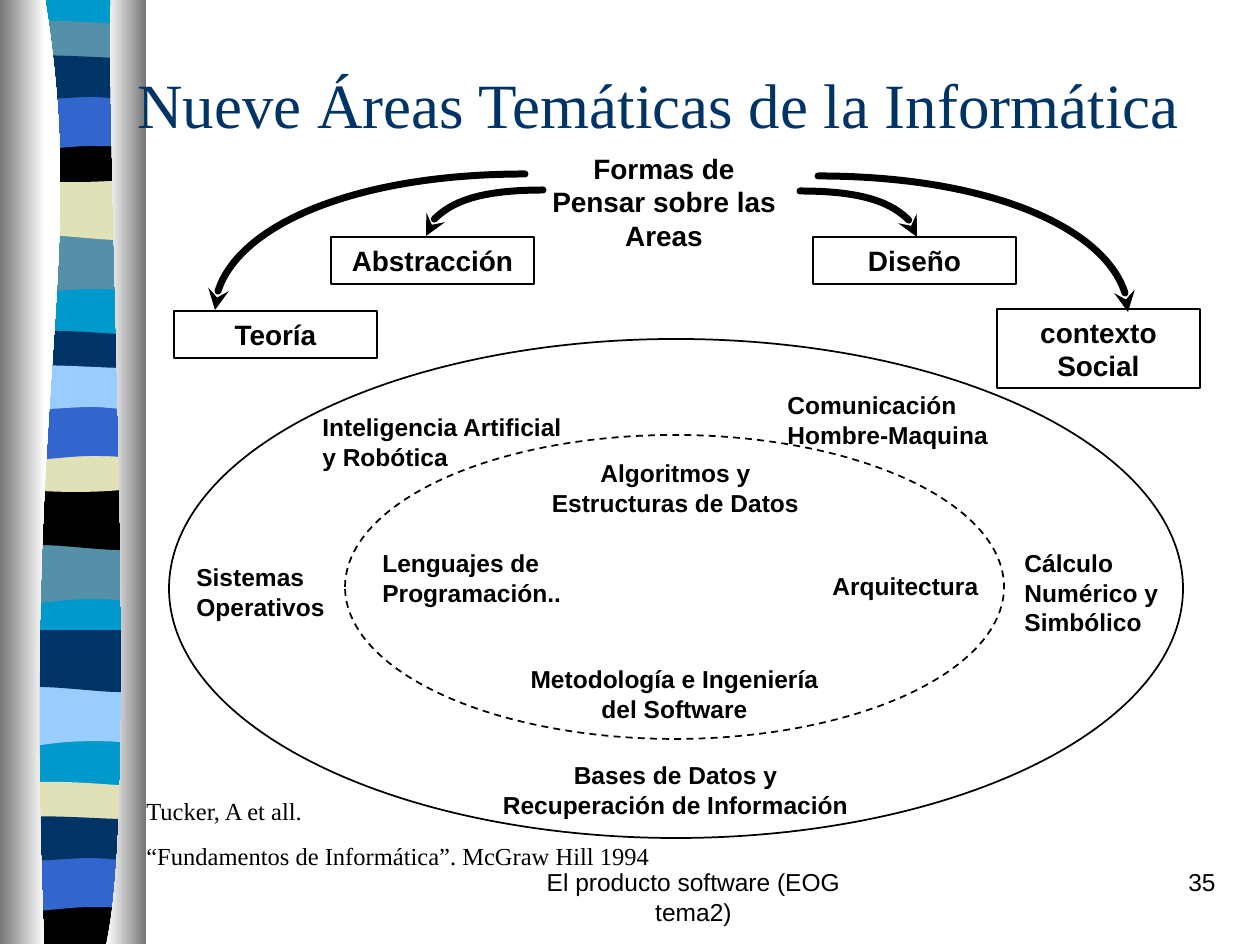
import dataclasses

import lxml.etree
import pptx
import pptx.dml.color
import pptx.enum.dml
import pptx.enum.shapes
import pptx.enum.text
import pptx.oxml.ns
import pptx.util

PX = 914400 / 126
LEFT, CENTER, RIGHT = (pptx.enum.text.PP_ALIGN.LEFT, pptx.enum.text.PP_ALIGN.CENTER,
                       pptx.enum.text.PP_ALIGN.RIGHT)


@dataclasses.dataclass(frozen=True)
class Theme:
    sans: str = "Arial"
    serif: str = "Times New Roman"
    ink: str = "000000"
    navy: str = "003366"
    blue: str = "3366CC"
    cyan: str = "0099CC"
    teal: str = "5490A8"
    sky: str = "99CCFF"
    sand: str = "E1E1B7"
    white: str = "FFFFFF"
    grey: str = "767676"
    title: int = 36
    form: int = 16
    body: int = 14
    thin: int = 1
    thick: int = 4


T = Theme()

# Content: (text, (left, top, width, height), alignment)
TITLE = ("Nueve Áreas Temáticas de la Informática", (125, 24, 1135, 158), LEFT)
HEADING = ("Formas de Pensar sobre las Areas", (534, 145, 260, 113), CENTER)
FORMS = [
    ("Abstracción", (331, 237, 203, 47), CENTER),
    ("Teoría", (174, 311, 203, 47), CENTER),
    ("Diseño", (813, 237, 203, 47), CENTER),
    ("contexto Social", (997, 309, 203, 79), CENTER),
]
AREAS = [
    ("Algoritmos y Estructuras de Datos", (538, 452, 275, 72), CENTER),
    ("Lenguajes de Programación..", (370, 542, 217, 72), LEFT),
    ("Metodología e Ingeniería del Software", (515, 658, 319, 72), CENTER),
    ("Arquitectura", (820, 565, 192, 42), LEFT),
    ("Comunicación Hombre-Maquina", (775, 384, 254, 72), LEFT),
    ("Inteligencia Artificial y Robótica", (310, 406, 280, 72), LEFT),
    ("Sistemas Operativos", (184, 556, 176, 72), LEFT),
    ("Cálculo Numérico y Simbólico", (1012, 542, 170, 101), LEFT),
    ("Bases de Datos y Recuperación de Información", (489, 754, 373, 72), CENTER),
]
FOOTERS = [
    ("El producto software (EOG tema2)", (494, 861, 399, 63), CENTER),
    ("35", (966, 861, 262, 63), RIGHT),
]
SOURCE = ("Tucker, A et all.\n“Fundamentos de Informática”. McGraw Hill 1994",
          (134, 790, 539, 87), LEFT)
ELLIPSES = [((345, 435, 659, 304), True), ((169, 339, 1014, 499), False)]

# Quarter arcs: (start at the heading, arrow tip)
ARROWS = [((525, 174), (215, 310)), ((543, 190), (426, 236)),
          ((818, 176), (1128, 312)), ((800, 191), (917, 237))]

# Ribbon outlines: a pair is a straight step, six numbers are a Bezier step
PROFILES = {
    "wave": [(144, 233), (144, 292), (49, 282, 30, 302, 8, 292), (8, 233)],
    "swell": [(144, 178), (144, 237), (121, 247, 49, 229, 8, 237), (8, 178)],
    "slim": [(144, 26), (144, 57), (121, 62, 30, 62, 8, 57), (8, 26),
             (15, 20, 37, 21, 59, 21), (82, 21, 126, 25, 144, 26)],
    "block": [(144, 136), (144, 176), (121, 184, 30, 184, 8, 176), (8, 136),
              (91, 142, 115, 136, 144, 136)],
    "arch": [(144, 93), (144, 152), (122, 146, 113, 146, 91, 146),
             (68, 146, 28, 152, 8, 152), (8, 93)],
    "step": [(144, 58), (144, 97), (135, 103, 113, 97, 91, 97),
             (68, 97, 21, 103, 8, 97), (8, 58), (26, 52, 100, 58, 122, 58), (144, 58)],
    "foot": [(144, 136), (144, 183), (8, 183), (8, 136), (91, 142, 115, 136, 144, 136)],
}
# Each run of bands repeats the outlines further down: (offset, bands)
RIBBON = [
    (0, [("wave", T.teal), ("swell", T.sand), ("slim", T.teal), ("block", T.ink),
         ("arch", T.blue), ("step", T.navy)]),
    (310, [("wave", T.teal), ("swell", T.ink), ("slim", T.navy), ("block", T.sand),
           ("arch", T.blue), ("step", T.sky)]),
    (452, [("wave", T.sky), ("swell", T.navy)]),
    (761, [("slim", T.sand), ("foot", T.ink), ("arch", T.blue), ("step", T.navy)]),
]
BASE = [(8, 0), (144, 0), (144, 941), (8, 941)]
RAILS = [
    ([(45, 0), (89, 272, 21, 373, 44, 944), (0, 944), (0, 0)], (T.grey, T.white)),
    ([(111, 0), (106, 158, 140, 814, 106, 944), (146, 944), (146, 0)], (T.white, T.grey)),
]


def emu(px):
    return pptx.util.Emu(round(px * PX))


def rgb(value):
    return pptx.dml.color.RGBColor.from_string(value)


def add_outline(s, steps, dy=0, close=True):
    """Draw the end points as a freeform, then bend the Bezier steps."""
    ends = [(emu(step[-2]), emu(step[-1] + dy)) for step in steps]
    builder = s.shapes.build_freeform(*ends[0], scale=1.0)
    builder.add_line_segments(ends[1:], close=close)
    sp = builder.convert_to_shape()
    qn = pptx.oxml.ns.qn
    segments = list(sp._element.iter(qn("a:lnTo")))
    for segment, step in zip(segments, steps[1:]):
        if len(step) == 6:
            segment.tag = qn("a:cubicBezTo")
            for i in (0, 1):
                x, y = emu(step[2 * i]) - sp.left, emu(step[2 * i + 1] + dy) - sp.top
                point = lxml.etree.SubElement(segment, qn("a:pt"), x=str(x), y=str(y))
                segment.insert(i, point)
    sp.shadow.inherit = False
    sp.line.fill.background()
    return sp


def set_line(sp, width):
    sp.line.color.rgb = rgb(T.ink)
    sp.line.width = pptx.util.Pt(width)


def add_shape(s, kind, box):
    sp = s.shapes.add_shape(kind, *map(emu, box))
    sp.shadow.inherit = False
    sp.fill.background()
    set_line(sp, T.thin)
    return sp


def add_text(s, item, size, font=T.sans, color=T.ink, bold=False, framed=False, middle=False):
    text, box, align = item
    if framed:
        sp = add_shape(s, pptx.enum.shapes.MSO_SHAPE.RECTANGLE, box)
    else:
        sp = s.shapes.add_textbox(*map(emu, box))
    tf = sp.text_frame
    tf.word_wrap = True
    anchor = pptx.enum.text.MSO_ANCHOR
    tf.vertical_anchor = anchor.MIDDLE if middle else anchor.TOP
    tf.text = text
    for i, p in enumerate(tf.paragraphs):
        p.alignment = align
        if i:
            p.space_before = pptx.util.Pt(8.8)
        p.font.name, p.font.size, p.font.bold = font, pptx.util.Pt(size), bold
        p.font.color.rgb = rgb(color)


def add_arrow(s, start, tip):
    (x0, y0), (x1, y1) = start, tip
    bend = 0.55
    curve = (x0 + bend * (x1 - x0), y0, x1, y1 - bend * (y1 - y0), x1, y1)
    sp = add_outline(s, [start, curve], close=False)
    sp.fill.background()
    set_line(sp, T.thick)
    ln = sp.line._get_or_add_ln()
    ln.set("cap", "rnd")
    lxml.etree.SubElement(ln, pptx.oxml.ns.qn("a:round"))
    lxml.etree.SubElement(ln, pptx.oxml.ns.qn("a:tailEnd"), type="stealth")


def main():
    prs = pptx.Presentation()
    prs.slide_width, prs.slide_height = emu(1260), emu(945)
    s = prs.slides.add_slide(prs.slide_layouts[6])

    # Ribbon and its rails
    bands = [(BASE, T.cyan, 0)] + [(PROFILES[name], color, dy)
                                   for dy, run in RIBBON for name, color in run]
    for steps, color, dy in bands:
        sp = add_outline(s, steps, dy)
        sp.fill.solid()
        sp.fill.fore_color.rgb = rgb(color)
    for steps, colors in RAILS:
        sp = add_outline(s, steps)
        sp.fill.gradient()
        sp.fill.gradient_angle = 0
        for stop, color in zip(sp.fill.gradient_stops, colors):
            stop.color.rgb = rgb(color)

    # Footer and title
    for item in FOOTERS:
        add_text(s, item, T.body)
    add_text(s, TITLE, T.title, T.serif, T.navy, middle=True)

    # Areas inside the two ellipses
    for box, dashed in ELLIPSES:
        sp = add_shape(s, pptx.enum.shapes.MSO_SHAPE.OVAL, box)
        if dashed:
            sp.line.dash_style = pptx.enum.dml.MSO_LINE.DASH
    for item in AREAS:
        add_text(s, item, T.body, bold=True)

    # Ways of thinking and their arrows
    add_text(s, HEADING, T.form, bold=True)
    for item in FORMS:
        add_text(s, item, T.form, bold=True, framed=True)
    for start, tip in ARROWS:
        add_arrow(s, start, tip)

    add_text(s, SOURCE, T.body, T.serif)
    prs.save("out.pptx")


if __name__ == "__main__":
    main()
